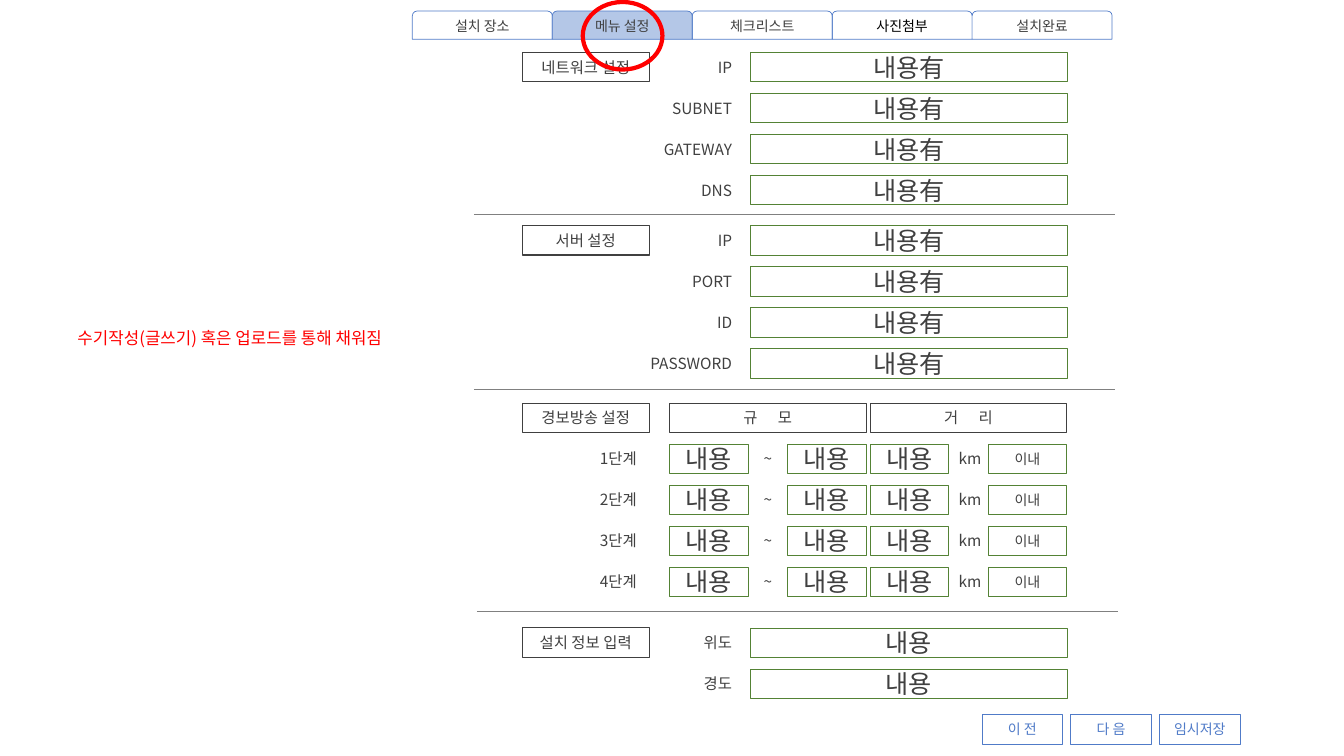
from dataclasses import dataclass

from lxml.etree import SubElement
from pptx import Presentation
from pptx.dml.color import RGBColor
from pptx.enum.shapes import MSO_CONNECTOR, MSO_SHAPE as Preset
from pptx.enum.text import MSO_ANCHOR as Anchor, PP_ALIGN as Align
from pptx.oxml.ns import qn
from pptx.util import Inches, Pt


@dataclass(frozen=True)
class Theme:
    """Colours, type sizes and shared measures of the slide."""
    font: str = "Noto Sans CJK KR"
    text: str = "404040"
    black: str = "000000"
    white: str = "FFFFFF"
    green: str = "548235"
    blue: str = "507BC8"
    selected: str = "B4C7E7"
    divider: str = "808080"
    red: str = "FF0000"
    small: float = 10
    body: float = 11
    note: float = 12
    value: float = 18
    thin: float = 0.5
    medium: float = 0.75
    thick: float = 3
    row_height: float = 0.29
    row_pitch: float = 1.22 / 3


THEME = Theme()


def write(shape, text, size, color, align):
    """Put one formatted line of text into a shape."""
    frame = shape.text_frame
    frame.word_wrap = True
    frame.vertical_anchor = Anchor.MIDDLE
    frame.text = text
    paragraph = frame.paragraphs[0]
    paragraph.alignment = align
    font = paragraph.runs[0].font
    font.name = THEME.font
    font.size = Pt(size)
    font.color.rgb = RGBColor.from_string(color)
    for properties in shape.element.iter(qn("a:rPr")):
        SubElement(properties, qn("a:ea"), typeface=THEME.font)


def add_label(shapes, box, text, align=Align.LEFT, size=THEME.body, color=THEME.text):
    """Add a text box."""
    label = shapes.add_textbox(*map(Inches, box))
    write(label, text, size, color, align)


def add_box(shapes, box, text="", size=THEME.value, color=THEME.text, line=THEME.green,
            width=THEME.thin, fill=THEME.white, preset=Preset.RECTANGLE):
    """Add an outlined shape with centred text."""
    shape = shapes.add_shape(preset, *map(Inches, box))
    shape.shadow.inherit = False
    shape.line.color.rgb = RGBColor.from_string(line)
    shape.line.width = Pt(width)
    if fill:
        shape.fill.solid()
        shape.fill.fore_color.rgb = RGBColor.from_string(fill)
    else:
        shape.fill.background()
    if text:
        write(shape, text, size, color, Align.CENTER)
    return shape


def add_heading(shapes, left, top, width, text):
    """Add a dark framed heading."""
    return add_box(shapes, (left, top, width, THEME.row_height), text, THEME.body,
                   line=THEME.text, width=THEME.medium, fill=None)


def add_divider(shapes, left, top, width):
    """Add a horizontal rule between sections."""
    line = shapes.add_connector(MSO_CONNECTOR.STRAIGHT, *map(Inches, (left, top, left + width, top)))
    line.line.color.rgb = RGBColor.from_string(THEME.divider)
    line.line.width = Pt(THEME.thin)
    SubElement(line.element.spPr, qn("a:effectLst"))


def add_tabs(slide, left, top, width, height):
    """Add the tab bar and the ring around the selected tab."""
    shapes = slide.shapes.add_group_shape().shapes
    tabs = [("설치 장소", None, THEME.text), ("메뉴 설정", THEME.selected, THEME.text),
            ("체크리스트", None, THEME.text), ("사진첨부", None, THEME.black),
            ("설치완료", THEME.white, THEME.text)]
    tab_width = width / len(tabs)
    for index, (text, fill, color) in enumerate(tabs):
        add_box(shapes, (left + index * tab_width, top, tab_width, height), text, THEME.small,
                color, THEME.blue, fill=fill, preset=Preset.ROUND_2_SAME_RECTANGLE)


def add_ring(slide, *box):
    """Mark a spot with a red ring."""
    add_box(slide.shapes, box, line=THEME.red, width=THEME.thick, fill=None, preset=Preset.OVAL)


def add_form(slide, left, top, heading, fields, value):
    """Add a headed section with one labelled field per row."""
    shapes = slide.shapes.add_group_shape().shapes
    for index, field in enumerate(fields):
        y = top + index * THEME.row_pitch
        add_label(shapes, (left + 0.33, y, 1.85, THEME.row_height), field, Align.RIGHT)
        add_box(shapes, (left + 2.26, y, 3.15, THEME.row_height), value)
    add_heading(shapes, left, top, 1.26, heading)


def add_alarm_grid(slide, left, top):
    """Add the alarm section: scale range and distance for each level."""
    shapes = slide.shapes
    height, cell, column = THEME.row_height, 0.78, 1.95
    scale, distance = left + 1.46, left + 3.45
    add_heading(shapes, left, top, 1.26, "경보방송 설정")
    for x, text in ((scale, "규 모"), (distance, "거 리")):
        title = add_heading(shapes, x, top, column, text)
        for properties in title.element.iter(qn("a:rPr")):
            properties.set("spc", "600")
    for level in range(1, 5):
        y = top + level * THEME.row_pitch
        add_label(shapes, (left + 0.67, y, 1.85, height), f"{level}단계")
        for x in (scale, scale + column - cell, distance):
            add_box(shapes, (x, y, cell, height), "내용")
        add_label(shapes, (scale + cell, y, column - 2 * cell, height), "~", Align.CENTER)
        add_label(shapes, (distance + cell, y, 0.51, height), "km")
        add_box(shapes, (distance + column - cell, y, cell, height), "이내", THEME.small)


def add_buttons(slide, left, top):
    """Add the row of navigation buttons."""
    for index, text in enumerate(("이 전", "다 음", "임시저장")):
        add_box(slide.shapes, (left + index * 0.88, top, 0.8, THEME.row_height), text,
                THEME.small, THEME.blue, THEME.blue)


def main():
    """Build the menu settings slide."""
    presentation = Presentation()
    presentation.slide_width = Inches(13.33)
    presentation.slide_height = Inches(7.5)
    slide = presentation.slides.add_slide(presentation.slide_layouts[6])
    left = 5.18
    add_form(slide, left, 0.52, "네트워크 설정", ("IP", "SUBNET", "GATEWAY", "DNS"), "내용有")
    add_form(slide, left, 2.24, "서버 설정", ("IP", "PORT", "ID", "PASSWORD"), "내용有")
    add_alarm_grid(slide, left, 4)
    add_form(slide, left, 6.23, "설치 정보 입력", ("위도", "경도"), "내용")
    for x, y in ((4.7, 2.13), (4.7, 3.86), (4.73, 6.07)):
        add_divider(slide.shapes, x, y, 6.36)
    add_buttons(slide, 9.74, 7.09)
    add_tabs(slide, 4.09, 0.11, 6.94, 0.28)
    add_label(slide.shapes, (0.67, 3.2, 3.79, 0.3), "수기작성(글쓰기) 혹은 업로드를 통해 채워짐",
              size=THEME.note, color=THEME.red)
    add_ring(slide, 5.78, 0.02, 0.79, 0.67)
    presentation.save("out.pptx")


if __name__ == "__main__":
    main()
